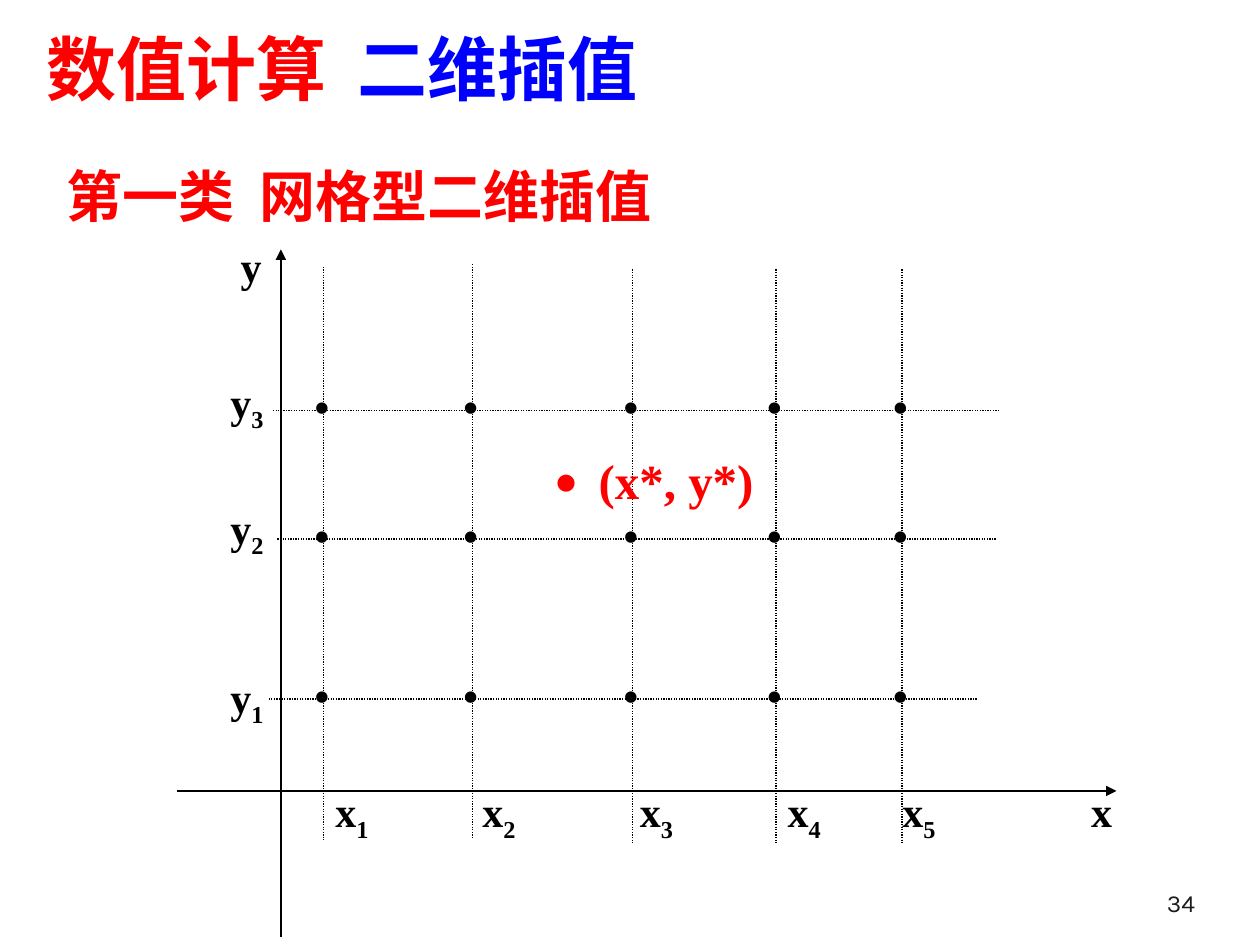
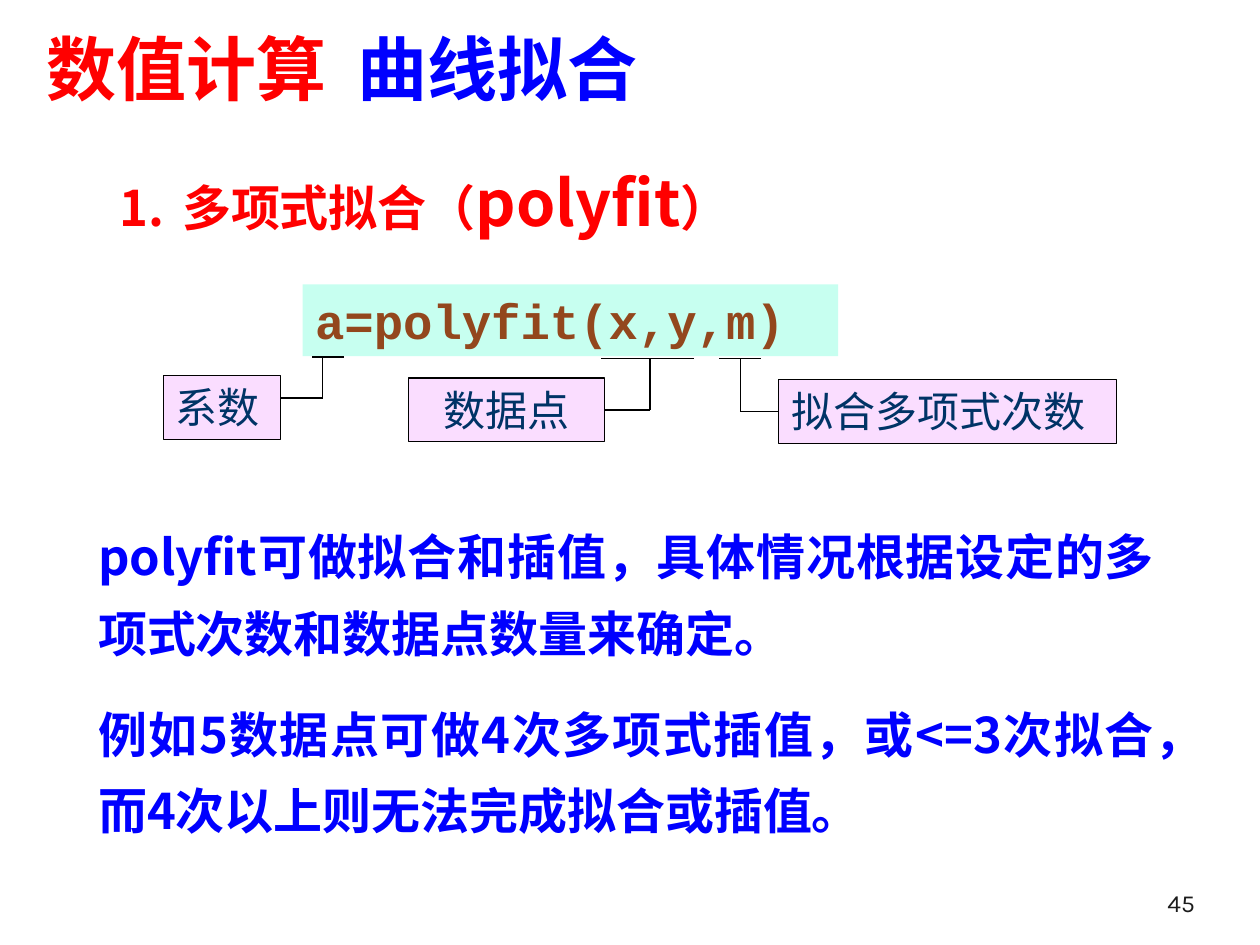
from dataclasses import dataclass

from lxml import etree
from pptx import Presentation
from pptx.dml.color import RGBColor
from pptx.enum.dml import MSO_LINE
from pptx.enum.shapes import MSO_CONNECTOR, MSO_SHAPE
from pptx.enum.text import MSO_ANCHOR, MSO_AUTO_SIZE, PP_ALIGN
from pptx.oxml.ns import qn
from pptx.util import Pt

STRAIGHT = MSO_CONNECTOR.STRAIGHT
RECTANGLE = MSO_SHAPE.RECTANGLE
DOTTED = MSO_LINE.ROUND_DOT
TOP, BOTTOM = MSO_ANCHOR.TOP, MSO_ANCHOR.BOTTOM
GROW, FIXED = MSO_AUTO_SIZE.SHAPE_TO_FIT_TEXT, MSO_AUTO_SIZE.NONE
LEFT, CENTER = PP_ALIGN.LEFT, PP_ALIGN.CENTER
RIGHT, JUSTIFY = PP_ALIGN.RIGHT, PP_ALIGN.JUSTIFY
LEFT_SIDE, RIGHT_SIDE = 1, 3


@dataclass(frozen=True)
class Style:
    size: float
    color: str
    font: str
    bold: bool = True


@dataclass(frozen=True)
class Theme:
    red: str = "FF0000"
    blue: str = "0000FF"
    black: str = "000000"
    code_fill: str = "C7FFF0"
    label_fill: str = "FADDFF"
    cjk: str = "Noto Sans CJK SC"
    serif: str = "Times New Roman"
    line_width: float = 0.75
    emphasis_size: float = 36
    title: Style = Style(40, "FF0000", "Arial")
    number: Style = Style(14, "1C1C1C", "Karla", False)
    subtitle: Style = Style(32, "FF0000", "Times New Roman")
    axis: Style = Style(24, "000000", "Times New Roman")
    target_dot: Style = Style(36, "FF0000", "Times New Roman")
    target: Style = Style(28, "FF0000", "Times New Roman")
    heading: Style = Style(28, "FF0000", "Noto Sans CJK SC")
    code: Style = Style(28, "93471D", "Courier New")
    label: Style = Style(24, "003366", "Times New Roman", False)
    body: Style = Style(28, "0000FF", "Noto Sans CJK SC")


THEME = Theme()


def rgb(color):
    return RGBColor.from_string(color)


def style_paragraph(paragraph, style, align=LEFT):
    paragraph.alignment = align
    font = paragraph.font
    font.size = Pt(style.size)
    font.bold = style.bold
    font.name = style.font
    font.color.rgb = rgb(style.color)
    defaults = paragraph._p.pPr.find(qn("a:defRPr"))
    etree.SubElement(defaults, qn("a:ea"), typeface=THEME.cjk)


def add_run(paragraph, text):
    run = paragraph.add_run()
    run.text = text
    return run


def add_tab_stop(paragraph, position):
    stops = etree.SubElement(paragraph._p.get_or_add_pPr(), qn("a:tabLst"))
    etree.SubElement(stops, qn("a:tab"), pos=str(Pt(position)), algn="l")


def add_number(paragraph, indent):
    properties = paragraph._p.get_or_add_pPr()
    properties.set("marL", str(Pt(indent)))
    properties.set("indent", str(-Pt(indent)))
    etree.SubElement(properties, qn("a:buAutoNum"), type="arabicPeriod")


def add_frame(slide, left, top, width, height, anchor=TOP, fit=GROW):
    box = slide.shapes.add_textbox(Pt(left), Pt(top), Pt(width), Pt(height))
    frame = box.text_frame
    frame.word_wrap = True
    frame.vertical_anchor = anchor
    frame.auto_size = fit
    return frame


def add_text(slide, area, text, style, tab=None):
    paragraph = add_frame(slide, *area).paragraphs[0]
    if tab:
        add_tab_stop(paragraph, tab)
    style_paragraph(paragraph, style)
    add_run(paragraph, text)
    return paragraph


def add_indexed(slide, left, top, letter, index):
    paragraph = add_text(slide, (left, top, 54, 36), letter, THEME.axis)
    subscript = add_run(paragraph, str(index))
    subscript._r.get_or_add_rPr().set("baseline", "-25000")


def add_line(slide, x1, y1, x2, y2, dash=None, arrow=False):
    line = slide.shapes.add_connector(STRAIGHT, Pt(x1), Pt(y1), Pt(x2), Pt(y2))
    line.line.color.rgb = rgb(THEME.black)
    line.line.width = Pt(THEME.line_width)
    if dash:
        line.line.dash_style = dash
    if arrow:
        etree.SubElement(line.line._get_or_add_ln(), qn("a:tailEnd"), type="triangle")
    etree.SubElement(line._element.spPr, qn("a:effectLst"))
    return line


def add_panel(slide, area, text, fill, style, align=LEFT, outlined=True):
    panel = slide.shapes.add_shape(RECTANGLE, *map(Pt, area))
    panel.shadow.inherit = False
    panel.fill.solid()
    panel.fill.fore_color.rgb = rgb(fill)
    if outlined:
        panel.line.color.rgb = rgb(THEME.black)
        panel.line.width = Pt(THEME.line_width)
    else:
        panel.line.fill.background()
    frame = panel.text_frame
    frame.word_wrap = True
    frame.vertical_anchor = TOP
    frame.auto_size = GROW
    style_paragraph(frame.paragraphs[0], style, align)
    add_run(frame.paragraphs[0], text)
    return panel


def add_callout(slide, area, text, underline, stem_x, side, elbow_y=None, align=LEFT):
    left, top, width, height = area
    label = add_panel(slide, area, text, THEME.label_fill, THEME.label, align)
    start, end, underline_y = underline
    bend_y = elbow_y or top + height / 2
    edge_x = left if side == LEFT_SIDE else left + width
    add_line(slide, start, underline_y, end, underline_y)
    add_line(slide, stem_x, underline_y, stem_x, bend_y)
    arm = add_line(slide, edge_x, bend_y, stem_x, bend_y)
    if elbow_y is None:
        arm.begin_connect(label, side)


def add_slide(deck, topic, number):
    slide = deck.slides.add_slide(deck.slide_layouts[6])
    title = add_frame(slide, 19.5, 15, 618, 51, BOTTOM, FIXED).paragraphs[0]
    add_tab_stop(title, 178)
    style_paragraph(title, THEME.title)
    add_run(title, "数值计算\t")
    add_run(title, topic).font.color.rgb = rgb(THEME.blue)
    page = add_frame(slide, 540, 492, 150, 36, BOTTOM, FIXED).paragraphs[0]
    style_paragraph(page, THEME.number, RIGHT)
    add_run(page, str(number))
    return slide


def build_grid_slide(deck):
    slide = add_slide(deck, "二维插值", 34)
    add_text(slide, (31, 88.5, 533, 46), "第一类\t网格型二维插值", THEME.subtitle, 110)

    add_line(slide, 101, 452, 638, 452, arrow=True)
    add_line(slide, 160.5, 535.5, 160.5, 142.5, arrow=True)
    add_text(slide, (616.5, 445.5, 42, 36), "x", THEME.axis)
    add_text(slide, (130.5, 134, 50, 36), "y", THEME.axis)

    columns = [(185, 152.5, 184.5), (270, 151, 268.5), (361.5, 154, 358.5),
               (443.5, 154, 443), (515.5, 154, 508.5)]
    rows = [(399.5, 153.5, 558.5, 380), (308, 158.5, 569, 283.5),
            (234.5, 156, 570.5, 211.5)]
    for index, (x, top, label_left) in enumerate(columns, 1):
        add_line(slide, x, top, x, top + 327.5, DOTTED)
        add_indexed(slide, label_left, 445.5, "x", index)
    for index, (y, left, right, label_top) in enumerate(rows, 1):
        add_line(slide, left, y, right, y, DOTTED)
        add_indexed(slide, 124.5, label_top, "y", index)
        for x, *_ in columns:
            add_text(slide, (x - 12.25, y - 20.5, 50, 36), "•", THEME.axis)

    add_text(slide, (310.5, 248.5, 50, 50), "•", THEME.target_dot)
    add_text(slide, (335, 254, 114, 41), "(x*, y*)", THEME.target)


def build_fitting_slide(deck):
    slide = add_slide(deck, "曲线拟合", 45)
    heading = add_frame(slide, 61, 77, 618, 64).paragraphs[0]
    heading.line_spacing = 1.3
    add_number(heading, 36)
    style_paragraph(heading, THEME.heading, JUSTIFY)
    add_run(heading, "多项式拟合（")
    add_run(heading, "polyfit").font.size = Pt(THEME.emphasis_size)
    add_run(heading, "）")

    add_panel(slide, (173, 162.5, 306, 41), "a=polyfit(x,y,m)",
              THEME.code_fill, THEME.code, outlined=False)
    add_callout(slide, (93.5, 214.5, 67, 36.5), "系数", (178.5, 196.5, 204),
                184.5, RIGHT_SIDE, elbow_y=227.5)
    add_callout(slide, (233.5, 216, 112, 36.5), "数据点", (343.5, 396.5, 205),
                371.5, RIGHT_SIDE, align=CENTER)
    add_callout(slide, (445, 217, 193, 36.5), "拟合多项式次数", (411, 435, 205),
                423, LEFT_SIDE)

    body = add_frame(slide, 49, 287.5, 618, 201)
    statements = [
        "polyfit可做拟合和插值，具体情况根据设定的多项式次数和数据点数量来确定。",
        "例如5数据点可做4次多项式插值，或<=3次拟合，而4次以上则无法完成拟合或插值。",
    ]
    for index, statement in enumerate(statements):
        paragraph = body.add_paragraph() if index else body.paragraphs[0]
        paragraph.line_spacing = 1.3
        if index:
            paragraph.space_before = Pt(14)
        style_paragraph(paragraph, THEME.body, JUSTIFY)
        add_run(paragraph, statement)


def main():
    deck = Presentation()
    deck.slide_width, deck.slide_height = Pt(720), Pt(540)
    build_grid_slide(deck)
    build_fitting_slide(deck)
    deck.save("out.pptx")


if __name__ == "__main__":
    main()
